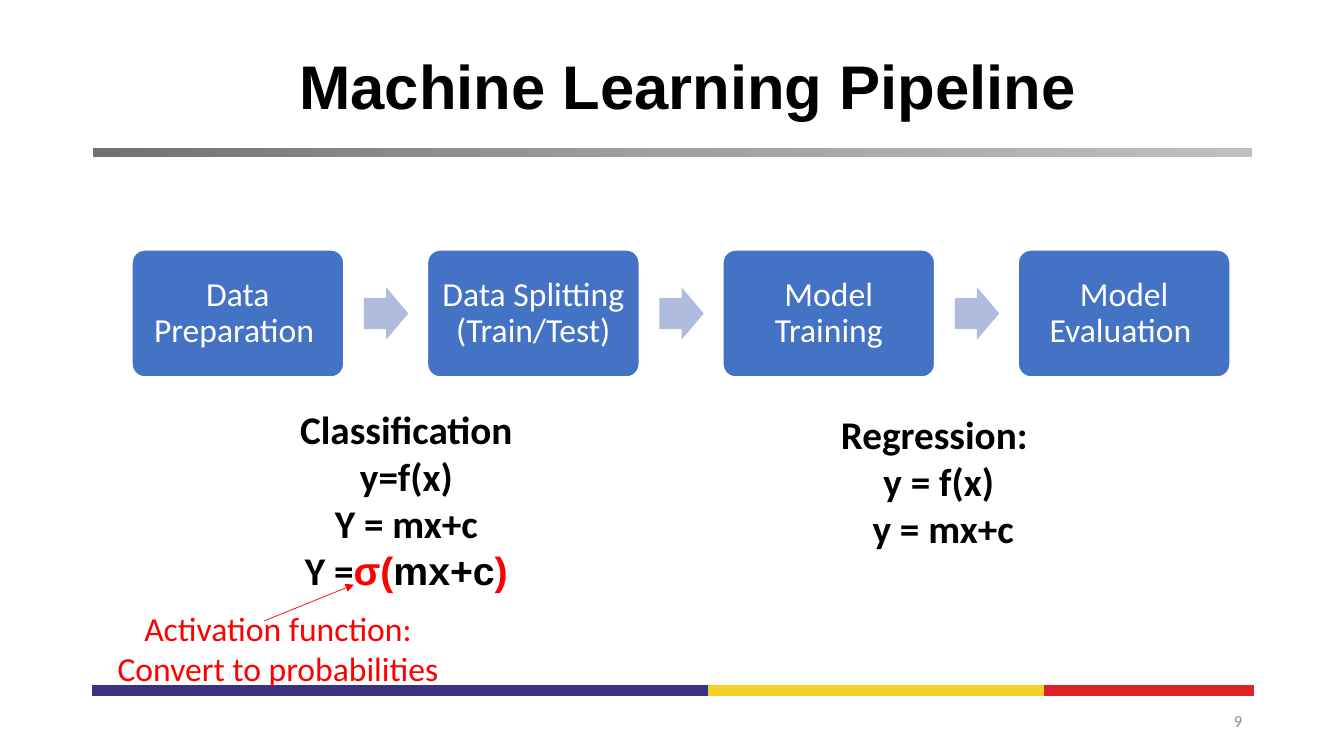
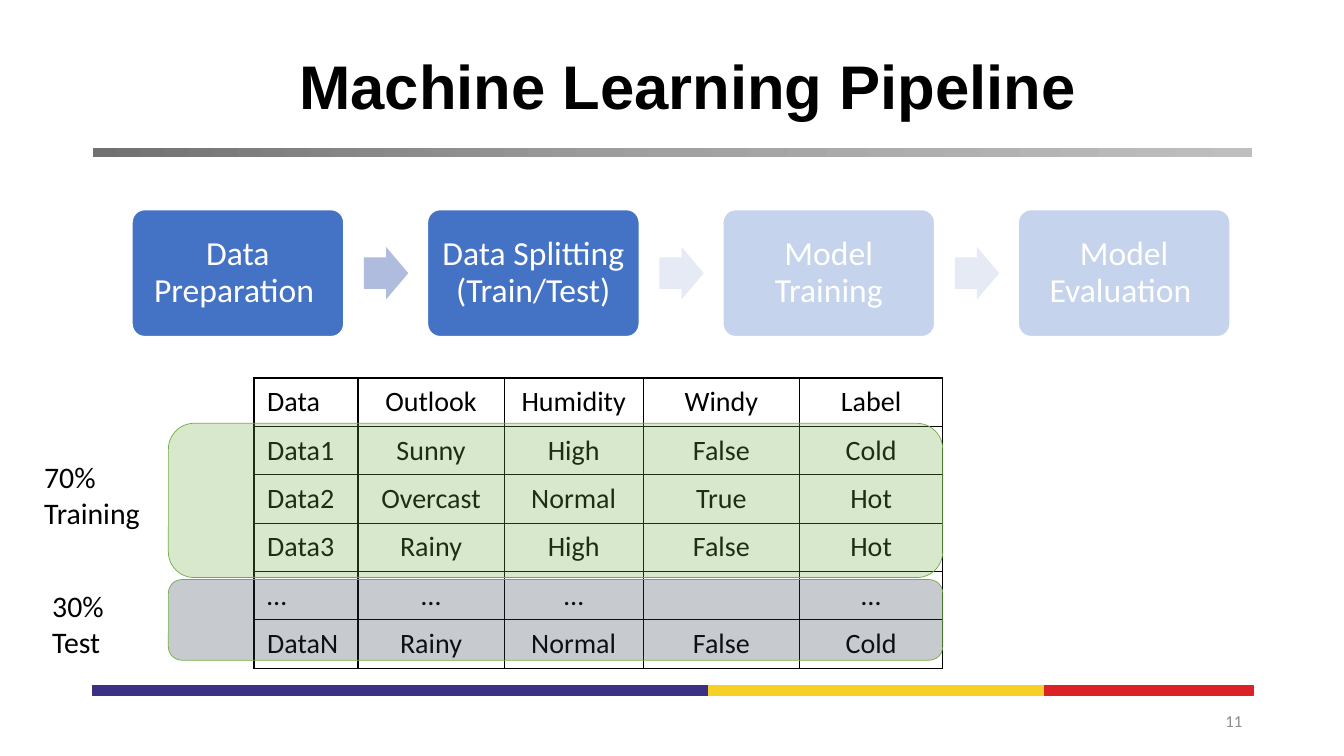
from dataclasses import dataclass
from itertools import accumulate

from lxml.etree import SubElement
from pptx import Presentation
from pptx.dml.color import RGBColor
from pptx.enum.shapes import MSO_CONNECTOR as Connector, MSO_SHAPE as Shape
from pptx.enum.text import MSO_ANCHOR as Anchor, MSO_AUTO_SIZE as AutoSize, PP_ALIGN as Align
from pptx.oxml.ns import qn
from pptx.util import Emu, Pt

EMU_PER_PX = 9144  # 100 px to the inch
TITLE_ONLY = 5


@dataclass(frozen=True)
class Theme:
    heading_font: str = "Arial"
    body_font: str = "Calibri"
    black: str = "000000"
    white: str = "FFFFFF"
    red: str = "FF0000"
    gray: str = "8C8C8C"
    step: str = "4472C4"
    arrow: str = "B0BCDE"
    training: str = "70AD47"
    test: str = "333F50"
    rule: tuple = ((0, "717171"), (50, "A1A1A1"), (100, "BFBFBF"))
    stripes: tuple = (("3B3183", 611), ("F5D128", 333), ("DB2226", 207))
    title_size: float = 44
    formula_size: float = 28
    step_size: float = 24
    label_size: float = 21.3
    table_size: float = 20
    number_size: float = 12


def px(*lengths):
    return [Emu(length * EMU_PER_PX) for length in lengths]


class Deck:
    def __init__(self, theme):
        self.theme = theme
        self.deck = Presentation()
        self.deck.slide_width, self.deck.slide_height = px(1333, 750)
        self.page = None

    def start_page(self, title, number):
        """Add a slide with its title, rule, footer stripes and number."""
        theme = self.theme
        self.page = self.deck.slides.add_slide(self.deck.slide_layouts[TITLE_ONLY])
        self.gradient_rule(92, 147, 1150, 9)
        widths = [width for _, width in theme.stripes]
        lefts = accumulate(widths[:-1], initial=92)
        for left, (color, width) in zip(lefts, theme.stripes):
            self.shape(Shape.RECTANGLE, (left, 680, width, 10), color, line=color)
        self.text([number], (942, 695, 300, 40), theme.number_size,
                  color=theme.gray, align=Align.RIGHT, anchor=Anchor.MIDDLE, grow=False)

        box = self.page.shapes.title
        box.left, box.top, box.width, box.height = px(92, 32, 1181, 113)
        frame = box.text_frame
        frame.auto_size = AutoSize.NONE
        frame.vertical_anchor = Anchor.MIDDLE
        self.fill_frame(frame, [title], theme.title_size, font=theme.heading_font,
                        bold=True, align=Align.CENTER, spacing=0.9)

    def fill_frame(self, frame, lines, size, color=None, font=None, bold=False,
                   align=Align.LEFT, spacing=None):
        """Fill a frame; a line is a string or a list of (text, color, font) spans."""
        for index, line in enumerate(lines):
            para = frame.add_paragraph() if index else frame.paragraphs[0]
            para.alignment = align
            if spacing:
                para.line_spacing = spacing
            spans = [(line, color, font)] if isinstance(line, str) else line
            for text, span_color, span_font in spans:
                span = para.add_run()
                span.text = text
                span.font.size = Pt(size)
                span.font.bold = bold
                span.font.name = span_font or self.theme.body_font
                span.font.color.rgb = RGBColor.from_string(span_color or self.theme.black)

    def text(self, lines, at, size, anchor=Anchor.TOP, grow=True, **style):
        frame = self.page.shapes.add_textbox(*px(*at)).text_frame
        frame.word_wrap = True
        frame.auto_size = AutoSize.SHAPE_TO_FIT_TEXT if grow else AutoSize.NONE
        frame.vertical_anchor = anchor
        self.fill_frame(frame, lines, size, **style)

    def shape(self, kind, at, color, line=None, line_width=1.0, opacity=100, adjust=()):
        box = self.page.shapes.add_shape(kind, *px(*at))
        box.shadow.inherit = False
        for index, value in enumerate(adjust):
            box.adjustments[index] = value
        box.fill.solid()
        box.fill.fore_color.rgb = RGBColor.from_string(color)
        if opacity < 100:
            fill_color = box.element.find(".//" + qn("a:srgbClr"))
            SubElement(fill_color, qn("a:alpha"), val=str(opacity * 1000))
        if line:
            box.line.color.rgb = RGBColor.from_string(line)
            box.line.width = Pt(line_width)
        else:
            box.line.fill.background()
        return box

    def gradient_rule(self, *at):
        bar = self.shape(Shape.RECTANGLE, at, self.theme.white)
        bar.fill.gradient()
        bar.fill.gradient_angle = 0
        stops = bar.element.find(".//" + qn("a:gsLst"))
        stops.clear()
        for position, color in self.theme.rule:
            stop = SubElement(stops, qn("a:gs"), pos=str(position * 1000))
            SubElement(stop, qn("a:srgbClr"), val=color)

    def pipeline(self, steps, top, left=131, pitch=293):
        """Draw a row of equal steps with an arrow in each gap."""
        theme = self.theme
        for index, step in enumerate(steps):
            x = left + index * pitch
            if index:
                self.shape(Shape.RIGHT_ARROW, (x - 63, top + 37, 44, 52),
                           theme.arrow, adjust=(0.6, 0.5))
            box = self.shape(Shape.ROUNDED_RECTANGLE, (x, top, 210, 126),
                             theme.step, line=theme.white, adjust=(0.1,))
            frame = box.text_frame
            frame.word_wrap = True
            frame.vertical_anchor = Anchor.MIDDLE
            (inset,) = px(10)
            frame.margin_left = frame.margin_right = inset
            frame.margin_top = frame.margin_bottom = inset
            self.fill_frame(frame, [step], theme.step_size, color=theme.white,
                            align=Align.CENTER, spacing=0.9)

    def arrow(self, start, end, color, width):
        line = self.page.shapes.add_connector(Connector.STRAIGHT, *px(*start, *end))
        line.line.color.rgb = RGBColor.from_string(color)
        line.line.width = Pt(width)
        SubElement(line.element.find(".//" + qn("a:ln")), qn("a:tailEnd"), type="triangle")
        SubElement(line.element.find(qn("p:spPr")), qn("a:effectLst"))

    def table(self, rows, left, top, widths, row_height):
        size = (sum(widths), row_height * len(rows))
        table = self.page.shapes.add_table(
            len(rows), len(widths), *px(left, top, *size)).table
        table.first_row = table.horz_banding = False
        for column, width in zip(table.columns, px(*widths)):
            column.width = width
        for row, values in zip(table.rows, rows):
            (row.height,) = px(row_height)
            for index, (cell, value) in enumerate(zip(row.cells, values)):
                cell.margin_left, cell.margin_right = px(13, 13)
                cell.margin_top, cell.margin_bottom = px(7, 7)
                self.border(cell)
                cell.fill.background()
                if value:
                    self.fill_frame(cell.text_frame, [value], self.theme.table_size,
                                    align=Align.CENTER if index else Align.LEFT)

    def border(self, cell):
        properties = cell._tc.get_or_add_tcPr()
        for side in ("a:lnL", "a:lnR", "a:lnT", "a:lnB"):
            line = SubElement(properties, qn(side), w=str(int(Pt(1))))
            fill = SubElement(line, qn("a:solidFill"))
            SubElement(fill, qn("a:srgbClr"), val=self.theme.black)


TITLE = "Machine Learning Pipeline"
STEPS = ["Data Preparation ", "Data Splitting (Train/Test)",
         "Model Training", "Model Evaluation "]
WEATHER = [
    ["Data", "Outlook", "Humidity", "Windy", "Label"],
    ["Data1", "Sunny", "High", "False", "Cold"],
    ["Data2", "Overcast", "Normal", "True", "Hot"],
    ["Data3", "Rainy", "High", "False", "Hot"],
    ["…", "…", "…", "", "…"],
    ["DataN", "Rainy", "Normal", "False", "Cold"],
]


def formulas_page(deck):
    theme = deck.theme
    deck.start_page(TITLE, "9")
    deck.pipeline(STEPS, top=248)
    activation = [
        ("Y =", theme.black, theme.body_font),
        ("σ(", theme.red, theme.heading_font),
        ("mx+c", theme.black, theme.heading_font),
        (")", theme.red, theme.heading_font),
    ]
    deck.text(["Classification", "y=f(x)", "Y = mx+c", activation], (262, 397, 282, 199),
              theme.formula_size, bold=True, align=Align.CENTER)
    deck.text(["Regression: ", "y = f(x)", " y = mx+c"], (667, 402, 528, 151),
              theme.formula_size, bold=True, align=Align.CENTER)
    deck.text(["Activation function: ", "Convert to probabilities "], (23, 598, 513, 91),
              theme.step_size, color=theme.red, align=Align.CENTER)
    deck.arrow((262, 616), (351, 580), theme.red, 0.5)


def splitting_page(deck):
    theme = deck.theme
    deck.start_page(TITLE, "11")
    deck.pipeline(STEPS, top=208)
    deck.table(WEATHER, 252, 375, [103, 145, 138, 155, 142], 47)
    deck.shape(Shape.RECTANGLE, (652, 191, 600, 171), theme.white, opacity=69)
    for top, height, color in ((420, 153, theme.training), (575, 80, theme.test)):
        deck.shape(Shape.ROUNDED_RECTANGLE, (167, top, 768, height), color,
                   line=theme.training, line_width=0.5, opacity=27)
    deck.text(["70%", "Training"], (34, 450, 176, 82), theme.label_size)
    deck.text(["30%", "Test"], (42, 578, 176, 82), theme.label_size)


def main():
    deck = Deck(Theme())
    formulas_page(deck)
    splitting_page(deck)
    deck.deck.save("out.pptx")


if __name__ == "__main__":
    main()
